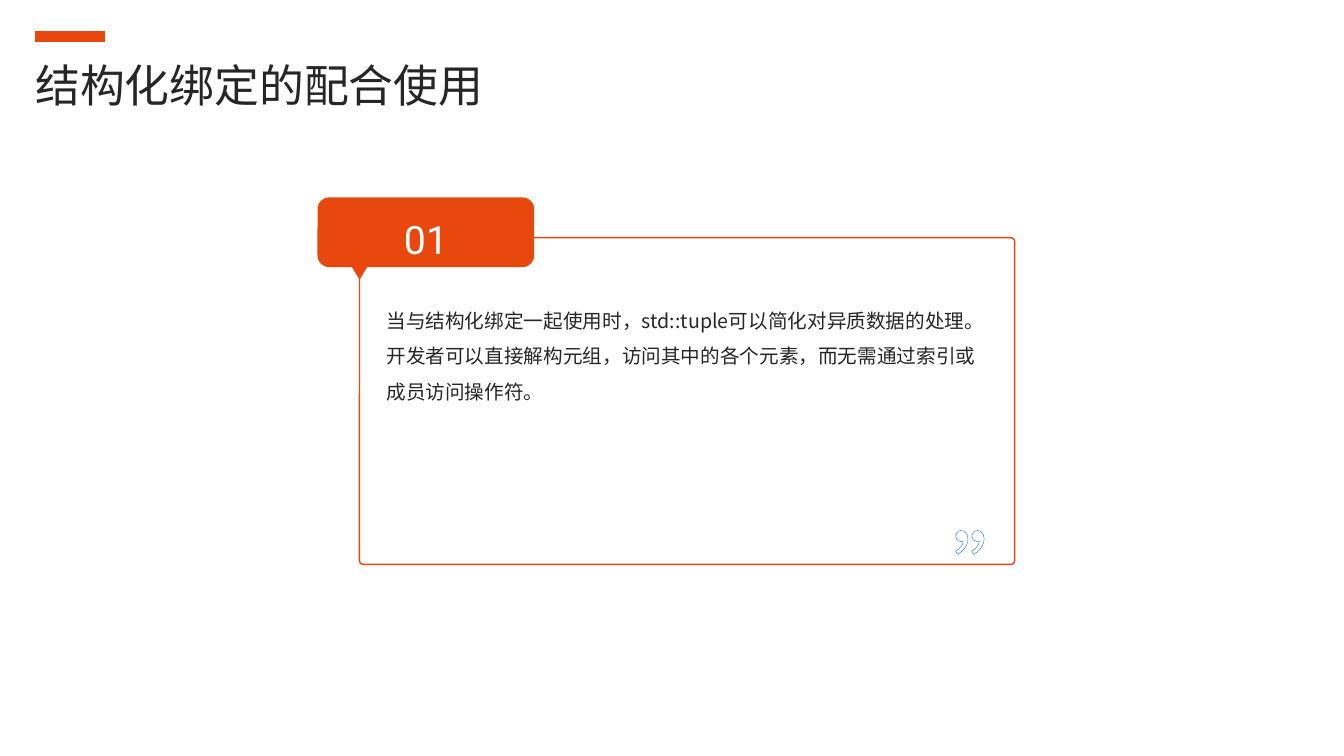
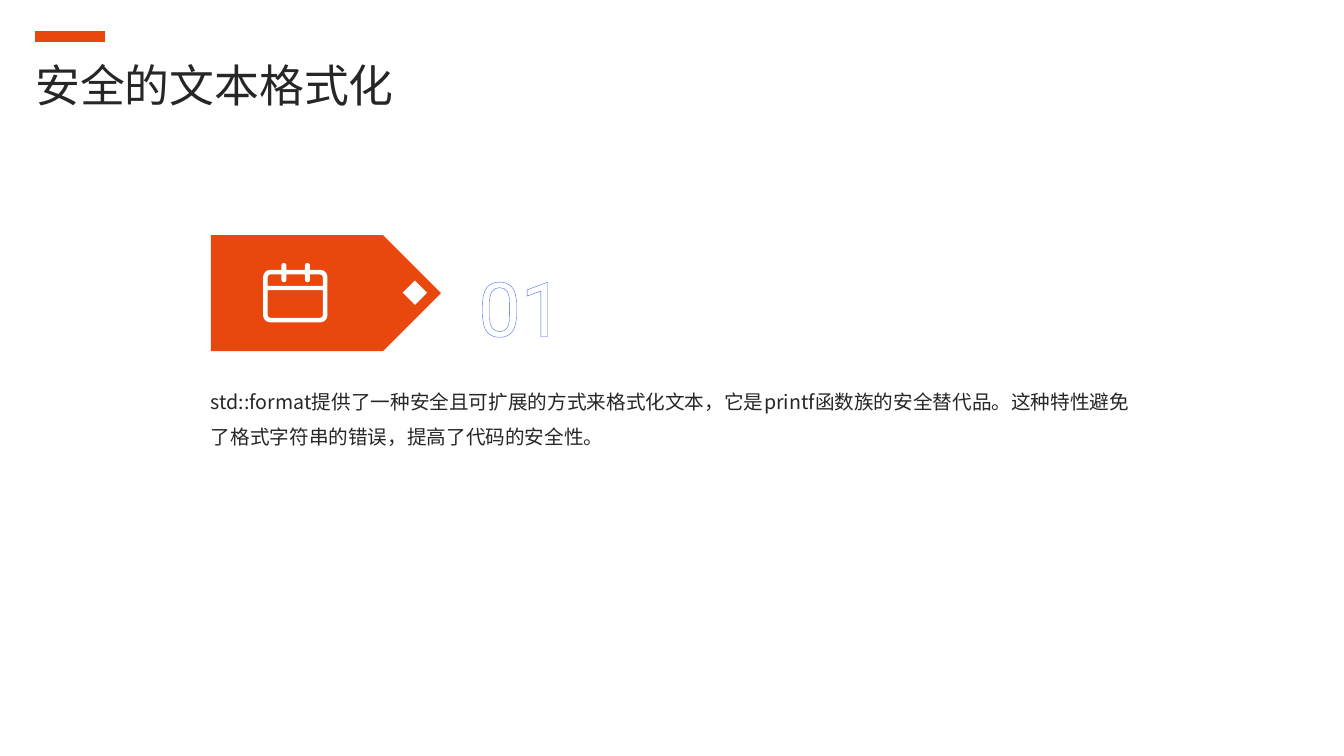
from lxml import etree
from pptx import Presentation
from pptx.dml.color import RGBColor
from pptx.enum import shapes, text
from pptx.oxml import ns
from pptx.util import Emu, Pt

ORANGE = RGBColor(0xE8, 0x48, 0x0E)
INK = RGBColor(0x26, 0x26, 0x26)
WHITE = RGBColor(0xFF, 0xFF, 0xFF)
BLUE = RGBColor(0x00, 0x68, 0xBF)
VIOLET = RGBColor(0x38, 0x60, 0xF4)
HAN, LATIN = "Noto Sans CJK SC", "Roboto"
KIND = shapes.MSO_SHAPE
LEFT, CENTER = text.PP_ALIGN.LEFT, text.PP_ALIGN.CENTER
TOP, MIDDLE = text.MSO_ANCHOR.TOP, text.MSO_ANCHOR.MIDDLE

deck = Presentation()
deck.slide_width, deck.slide_height = Emu(12192000), Emu(6858000)
CELL = deck.slide_width / 160  # square grid, 160 columns by 90 rows


def draw(slide, kind, box, fill=None, line=None, width=1):
    """Add a preset shape on the grid, with flat colours."""
    shape = slide.shapes.add_shape(kind, *[Emu(round(n * CELL)) for n in box])
    shape.shadow.inherit = False
    for part, color in ((shape.fill, fill), (shape.line.fill, line)):
        if color is None:
            part.background()
        else:
            part.solid()
            part.fore_color.rgb = color
    if line is not None:
        shape.line.width = Pt(width)
    return shape


def write(shape, words, size, color, font=HAN, space=1.5, align=LEFT,
          anchor=TOP, edge=None, box=None):
    """Set one paragraph; edge is the colour and width of a glyph outline."""
    if box:
        shape.left, shape.top, shape.width, shape.height = [
            Emu(round(n * CELL)) for n in box]
    frame = shape.text_frame
    frame.word_wrap, frame.auto_size = True, text.MSO_AUTO_SIZE.NONE
    frame.vertical_anchor = anchor
    frame.margin_left = frame.margin_right = 0
    frame.margin_top = frame.margin_bottom = 0
    para = frame.paragraphs[0]
    props = para._p.get_or_add_pPr()
    props.set("marL", "0")
    props.set("indent", "0")
    etree.SubElement(props, ns.qn("a:buNone"))
    para.alignment, para.line_spacing = align, space
    para.space_before = Pt(0)
    run = para.add_run()
    run.text = words
    run.font.name, run.font.size = font, Pt(size)
    run.font.color.rgb = color
    look = run._r.get_or_add_rPr()
    look.find(ns.qn("a:latin")).addnext(
        etree.Element(ns.qn("a:ea"), typeface=font))
    if edge:
        line = etree.Element(ns.qn("a:ln"), w=str(Pt(edge[1])))
        fill = etree.SubElement(line, ns.qn("a:solidFill"))
        etree.SubElement(fill, ns.qn("a:srgbClr"), val=str(edge[0]))
        look.insert(0, line)


# Shared parts: title, body text and accent bar
PAGES = [
    ("结构化绑定的配合使用", (46, 35.4, 71.8, 29.4),
     "当与结构化绑定一起使用时，std::tuple可以简化对异质数据的处理。"
     "开发者可以直接解构元组，访问其中的各个元素，而无需通过索引或成员访问操作符。"),
    ("安全的文本格式化", (25.1, 45, 111.2, 30.2),
     "std::format提供了一种安全且可扩展的方式来格式化文本，"
     "它是printf函数族的安全替代品。这种特性避免了格式字符串的错误，提高了代码的安全性。"),
]
for title, box, body in PAGES:
    slide = deck.slides.add_slide(deck.slide_layouts[1])
    write(slide.shapes.title, title, 32, INK, space=1.2, anchor=MIDDLE,
          box=(4.2, 6.6, 146.4, 5.6))
    write(slide.placeholders[1], body, 14, INK, box=box)
    bar = slide.shapes.add_connector(
        shapes.MSO_CONNECTOR.STRAIGHT,
        *[Emu(round(n * CELL)) for n in (4.2, 4.35, 12.5, 4.35)])
    bar.line.color.rgb, bar.line.width = ORANGE, Pt(8)
    etree.SubElement(bar._element.spPr, ns.qn("a:effectLst"))
bind, form = deck.slides

# Slide 1: framed card with a numbered tag and closing quote
card = draw(bind, KIND.ROUNDED_RECTANGLE, (42.8, 28.3, 78, 38.9), line=ORANGE)
card.adjustments[0] = 0.012
tip = draw(bind, KIND.ISOSCELES_TRIANGLE, (41.9, 31.8, 1.8, 1.5), ORANGE)
tip.rotation = 180
tag = draw(bind, KIND.ROUNDED_RECTANGLE, (37.8, 23.5, 25.8, 8.3), ORANGE)
tag.adjustments[0] = 0.17
write(tag, "01", 28, WHITE, LATIN, 1.3, CENTER, MIDDLE)
write(bind.shapes.add_textbox(0, 0, 0, 0), "”", 60, WHITE, HAN, 1.3, CENTER,
      edge=(BLUE, 1), box=(113.4, 58, 8.6, 7))

# Slide 2: arrow label and outlined number
draw(form, KIND.PENTAGON, (25.1, 28, 27.4, 13.8), ORANGE)
draw(form, KIND.DIAMOND, (47.95, 33.4, 2.9, 2.9), WHITE)
write(form.shapes.add_textbox(0, 0, 0, 0), "01", 54, WHITE, LATIN, 1.3, CENTER,
      MIDDLE, edge=(VIOLET, 1.25), box=(53.9, 26.4, 16.2, 16.9))

# Calendar icon
page = draw(form, KIND.ROUNDED_RECTANGLE, (31.6, 32.4, 7.1, 5.7),
            line=WHITE, width=3.25)
page.adjustments[0] = 0.1
draw(form, KIND.RECTANGLE, (31.6, 34.05, 7.1, 0.5), WHITE)
for left in (33.5, 36.3):
    ring = draw(form, KIND.ROUNDED_RECTANGLE, (left, 31.3, 0.6, 2.3), WHITE)
    ring.adjustments[0] = 0.5

deck.save("out.pptx")
